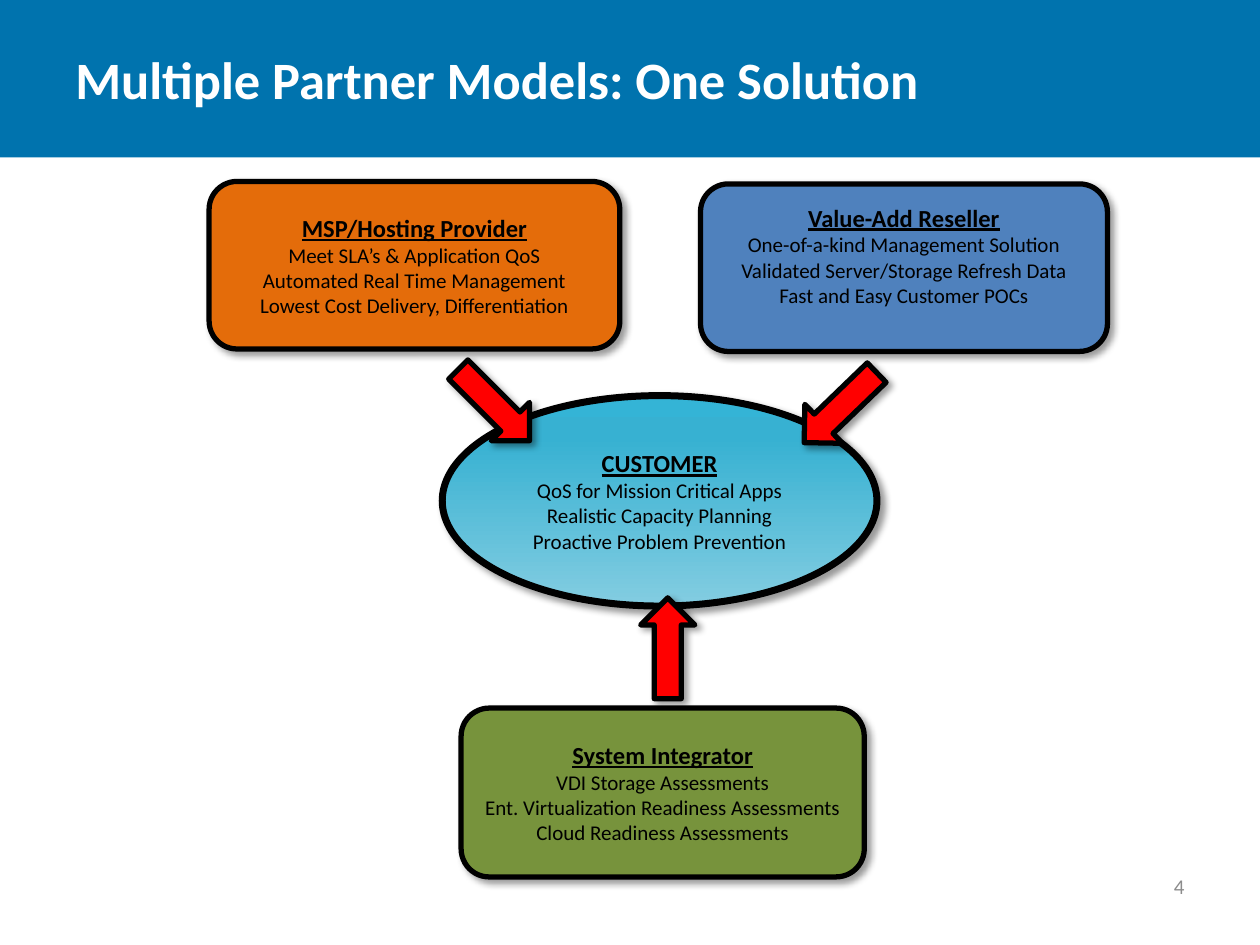
from copy import deepcopy
from typing import NamedTuple

from lxml.etree import SubElement
from pptx import Presentation
from pptx.dml.color import RGBColor
from pptx.enum.shapes import MSO_SHAPE as Shape
from pptx.enum.text import MSO_ANCHOR as Anchor, PP_ALIGN as Align
from pptx.oxml.ns import qn
from pptx.util import Inches, Pt

COLORS = {
    "banner": "0073AE",
    "white": "FFFFFF",
    "black": "000000",
    "gray": "8C8C8C",
    "orange": "E46C0A",
    "blue": "4F81BD",
    "green": "77933C",
    "red": "FF0000",
    "pale_teal": "83CDE1",
    "teal": "37B1D2",
    "top_teal": "34B4D6",
}
ARROW_SIZE = (0.8, 0.43)


class Box(NamedTuple):
    at: tuple[float, float, float, float]
    fill: str
    heading: str
    lines: list[str]
    bottom_inset: float = 0.03


class Arrow(NamedTuple):
    left: float
    top: float
    rotation: float


BOXES = [
    Box((1.66, 1.44, 3.26, 1.33), "orange", "MSP/Hosting Provider",
        ["Meet SLA’s & Application QoS", "Automated Real Time Management",
         "Lowest Cost Delivery, Differentiation"]),
    Box((5.56, 1.46, 3.23, 1.33), "blue", "Value-Add Reseller",
        ["One-of-a-kind Management Solution", "Validated Server/Storage Refresh Data",
         "Fast and Easy Customer POCs"], bottom_inset=0.23),
    Box((3.66, 5.62, 3.2, 1.34), "green", "System Integrator",
        ["VDI Storage Assessments", "Ent. Virtualization Readiness Assessments",
         "Cloud Readiness Assessments"]),
]
CUSTOMER = Box((3.51, 3.14, 3.45, 1.67), "teal", "CUSTOMER",
               ["QoS for Mission Critical Apps Realistic Capacity Planning",
                "Proactive Problem Prevention"])
ARROWS = [Arrow(4.9, 4.93, 270), Arrow(3.52, 3, 45), Arrow(6.27, 3.02, 136)]


def rgb(name: str) -> RGBColor:
    return RGBColor.from_string(COLORS[name])


def write(p, text: str, *, size: float, color: str = "black", bold: bool = False,
          underline: bool = False, align=Align.CENTER) -> None:
    p.alignment = align
    r = p.add_run()
    r.text = text
    r.font.name = "Calibri"
    r.font.size = Pt(size)
    r.font.bold = bold
    r.font.underline = underline
    r.font.color.rgb = rgb(color)


def add_shadow(s) -> None:
    s.shadow.inherit = False
    effects = s._element.spPr.find(qn("a:effectLst"))
    shadow = SubElement(effects, qn("a:outerShdw"), blurRad=str(Pt(4)),
                        dist=str(Pt(3)), dir=str(45 * 60000), rotWithShape="0")
    color = SubElement(shadow, qn("a:srgbClr"), val=COLORS["black"])
    SubElement(color, qn("a:alpha"), val="40000")


def add_outlined(slide, kind, at: tuple, fill: str, width: float = 3):
    s = slide.shapes.add_shape(kind, *map(Inches, at))
    s.fill.solid()
    s.fill.fore_color.rgb = rgb(fill)
    s.line.color.rgb = rgb("black")
    s.line.width = Pt(width)
    add_shadow(s)
    return s


def add_box(slide, box: Box, kind=Shape.ROUNDED_RECTANGLE, width: float = 3):
    s = add_outlined(slide, kind, box.at, box.fill, width)
    tf = s.text_frame
    tf.word_wrap = True
    tf.vertical_anchor = Anchor.MIDDLE
    tf.margin_left = tf.margin_right = Inches(0.06)
    tf.margin_top = Inches(0.03)
    tf.margin_bottom = Inches(box.bottom_inset)
    write(tf.paragraphs[0], box.heading, size=14, bold=True, underline=True)
    for line in box.lines:
        write(tf.add_paragraph(), line, size=12)
    return s


def add_gradient(s) -> None:
    s.fill.gradient()
    s.fill.gradient_angle = 90
    stop_list = s._element.spPr.find(qn("a:gradFill")).find(qn("a:gsLst"))
    stop_list.append(deepcopy(stop_list[-1]))
    stops = [(0, "pale_teal"), (0.8, "teal"), (1, "top_teal")]
    for stop, (position, color) in zip(s.fill.gradient_stops, stops):
        stop.position = position
        stop.color.rgb = rgb(color)


def add_label(slide, at: tuple, text: str, **fmt) -> None:
    tf = slide.shapes.add_textbox(*map(Inches, at)).text_frame
    tf.word_wrap = True
    tf.vertical_anchor = Anchor.MIDDLE
    write(tf.paragraphs[0], text, **fmt)


def main() -> None:
    prs = Presentation()
    prs.slide_width, prs.slide_height = Inches(10), Inches(7.5)
    slide = prs.slides.add_slide(prs.slide_layouts[6])

    banner = slide.shapes.add_shape(Shape.RECTANGLE, 0, 0, Inches(10), Inches(1.25))
    banner.shadow.inherit = False
    banner.fill.solid()
    banner.fill.fore_color.rgb = rgb("banner")
    banner.line.fill.background()
    add_label(slide, (7.17, 6.83, 2.33, 0.4), "4", size=12, color="gray",
              align=Align.RIGHT)

    add_gradient(add_box(slide, CUSTOMER, Shape.OVAL, 4))
    for box in BOXES:
        add_box(slide, box)
    for arrow in ARROWS:
        s = add_outlined(slide, Shape.RIGHT_ARROW,
                         (arrow.left, arrow.top, *ARROW_SIZE), "red")
        s.rotation = arrow.rotation

    add_label(slide, (0.5, 0, 9, 1.25), "Multiple Partner Models: One Solution",
              size=30, color="white", bold=True, align=Align.LEFT)
    prs.save("out.pptx")


if __name__ == "__main__":
    main()
